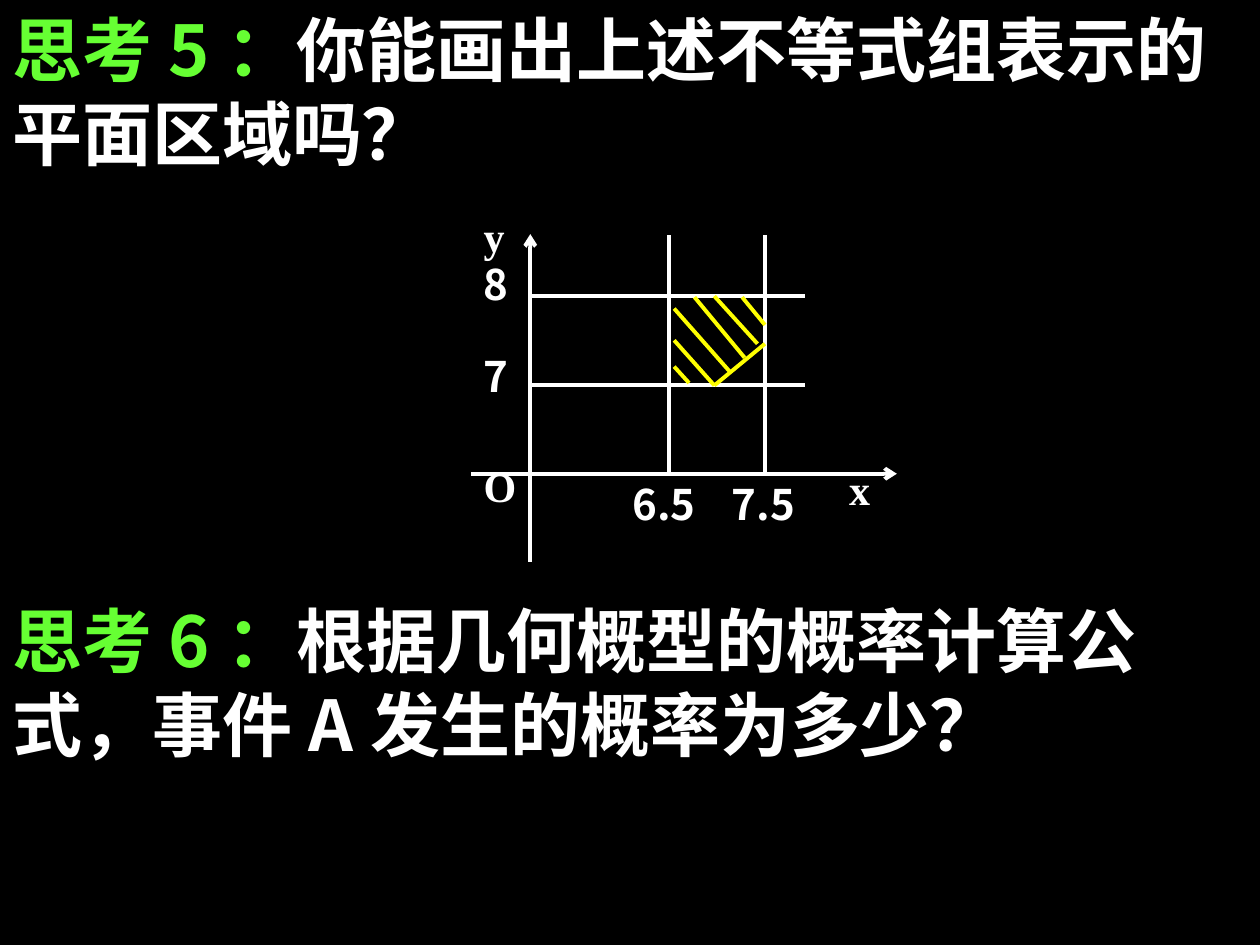
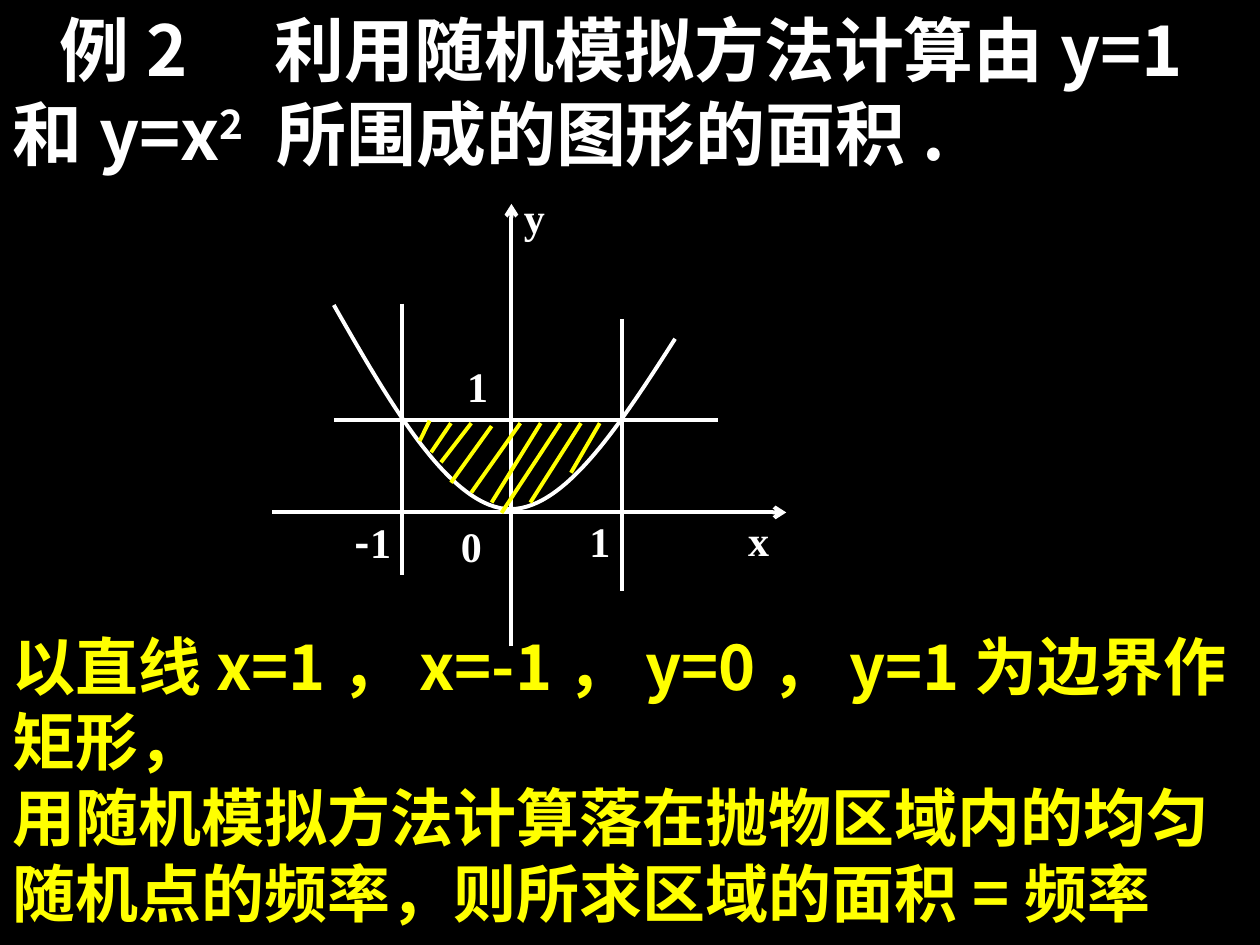
import pptx
import pptx.dml.color
import pptx.enum.shapes
import pptx.enum.text
import pptx.oxml.ns
import pptx.util
from lxml import etree

Cm = pptx.util.Cm
Pt = pptx.util.Pt
qn = pptx.oxml.ns.qn

SANS, SERIF = "Noto Sans CJK SC", "Times New Roman"
BLACK, WHITE, GREEN, YELLOW = "000000", "FFFFFF", "66FF33", "FFFF00"
SLIDE_W, SLIDE_H = 25.4, 19.05
HEADING_H = 3.66
LABEL_PT, BODY_PT, HEADING_PT = 24, 36, 40


def paint(color_format, hex_color):
    """Apply a hex colour to a colour format."""
    color_format.rgb = pptx.dml.color.RGBColor.from_string(hex_color)


def add_slide(prs):
    """Add a blank slide with a black background."""
    slide = prs.slides.add_slide(prs.slide_layouts[6])
    fill = slide.background.fill
    fill.solid()
    paint(fill.fore_color, BLACK)
    return slide


def add_run(p, text, size, color=WHITE, font=SANS, baseline=0):
    """Append one bold run to a paragraph."""
    r = p.add_run()
    r.text = text
    r.font.size, r.font.bold, r.font.name = Pt(size), True, font
    r.font.fill.solid()
    paint(r.font.fill.fore_color, color)
    rPr = r.font._element
    etree.SubElement(rPr, qn("a:ea")).set("typeface", font)
    if baseline:
        rPr.set("baseline", str(baseline * 1000))


def add_text_frame(slide, x, y, w, h):
    """Add a wrapping text box and return its text frame."""
    tf = slide.shapes.add_textbox(Cm(x), Cm(y), Cm(w), Cm(h)).text_frame
    tf.word_wrap = True
    return tf


def add_heading(slide, y, runs, indent=0):
    """Add a full-width heading of (text, options) runs, without hanging punctuation."""
    p = add_text_frame(slide, 0, y, SLIDE_W, HEADING_H).paragraphs[0]
    pPr = p._p.get_or_add_pPr()
    pPr.set("hangingPunct", "0")
    pPr.set("indent", str(Cm(indent)))
    for text, options in runs:
        add_run(p, text, HEADING_PT, **options)


def add_body(slide, y, lines):
    """Add yellow paragraphs that fill the slide from y to its bottom edge."""
    tf = add_text_frame(slide, 0, y, SLIDE_W, SLIDE_H - y)
    for i, line in enumerate(lines):
        p = tf.add_paragraph() if i else tf.paragraphs[0]
        add_run(p, line, BODY_PT, YELLOW)


def add_label(slide, x, y, w, h, *runs):
    """Add a diagram label made of (text, font) runs."""
    p = add_text_frame(slide, x, y, w, h).paragraphs[0]
    p.alignment = pptx.enum.text.PP_ALIGN.JUSTIFY
    for text, font in runs:
        add_run(p, text, LABEL_PT, font=font)


def add_line(slide, x1, y1, x2, y2, color=WHITE, arrow=False):
    """Add a straight line, with an open arrowhead at its end if asked."""
    line = slide.shapes.add_connector(
        pptx.enum.shapes.MSO_CONNECTOR.STRAIGHT, Cm(x1), Cm(y1), Cm(x2), Cm(y2))
    line.line.width = Pt(2.25)
    paint(line.line.color, color)
    if arrow:
        etree.SubElement(line.line._get_or_add_ln(), qn("a:tailEnd")).set("type", "arrow")
    etree.SubElement(line._element.spPr, qn("a:effectLst"))


def add_hatching(slide, strokes):
    """Add the yellow strokes that shade a region."""
    for stroke in strokes:
        add_line(slide, *stroke, color=YELLOW)


def add_curve(slide, start, *controls):
    """Add an open curve of cubic segments, three points each."""
    builder = slide.shapes.build_freeform(Cm(start[0]), Cm(start[1]))
    builder.add_line_segments([(Cm(x), Cm(y)) for x, y in controls], close=False)
    sp = builder.convert_to_shape()
    sp.shadow.inherit = False
    sp.fill.background()
    sp.line.width = Pt(2.25)
    paint(sp.line.color, WHITE)
    outline = next(sp._element.iter(qn("a:path")))
    segments = outline.findall(qn("a:lnTo"))
    for i in range(0, len(segments), 3):
        cubic = etree.SubElement(outline, qn("a:cubicBezTo"))
        for segment in segments[i:i + 3]:
            cubic.append(segment[0])
            outline.remove(segment)


def build_region_slide(prs):
    """Build the slide on the plane region of the inequalities."""
    slide = add_slide(prs)
    green = {"color": GREEN}
    add_heading(slide, 0, [("思考5：", green), ("你能画出上述不等式组表示的平面区域吗？", {})])
    add_heading(slide, 11.92, [("思考6：", green),
                               ("根据几何概型的概率计算公式，事件A发生的概率为多少？", {})])

    axis_x, axis_y = 10.69, 9.55
    add_line(slide, axis_x, 11.32, axis_x, 4.72, arrow=True)
    add_line(slide, 9.5, axis_y, 18.08, axis_y, arrow=True)
    for y in (5.97, 7.77):
        add_line(slide, axis_x, y, 16.23, y)
    for x in (13.49, 15.42):
        add_line(slide, x, axis_y, x, 4.74)
    add_hatching(slide, [
        (14.4, 7.77, 15.42, 6.93), (14.96, 5.99, 15.42, 6.55),
        (14.4, 5.97, 15.27, 6.93), (14, 5.99, 15.01, 7.21),
        (13.59, 6.22, 14.71, 7.49), (13.59, 6.86, 14.4, 7.77),
        (13.59, 7.39, 13.89, 7.72)])
    for text, font, x, y, w in [
            ("y", SERIF, 9.5, 4.11, 1.83), ("8", SANS, 9.5, 5.08, 1.83),
            ("7", SANS, 9.5, 6.94, 1.83), ("O", SERIF, 9.5, 9.16, 1.83),
            ("6.5", SANS, 12.5, 9.53, 2.45), ("7.5", SANS, 14.5, 9.53, 2.45),
            ("x", SERIF, 16.87, 9.22, 1.83)]:
        add_label(slide, x, y, w, 1.8, (text, font))


def build_parabola_slide(prs):
    """Build the slide on estimating the area inside the parabola."""
    slide = add_slide(prs)
    add_heading(slide, 0, [("例2　利用随机模拟方法计算由y=1和y=x", {}),
                           ("2", {"baseline": 30}),
                           (" 所围成的图形的面积.", {})], indent=0.96)

    axis_x, axis_y = 10.31, 10.33
    add_line(slide, 5.49, axis_y, 15.85, axis_y, arrow=True)
    add_line(slide, axis_x, 13.03, axis_x, 4.11, arrow=True)
    add_curve(slide, (6.73, 6.15), (7.87, 8.15), (9.02, 10.13), (10.19, 10.26),
              (11.33, 10.36), (12.47, 8.61), (13.61, 6.83))
    add_line(slide, 6.73, 8.46, 14.48, 8.46)
    for x, y in [(8.1, 6.12), (12.54, 6.43)]:
        add_line(slide, x, y, x, y + 5.48)
    for text, x, y, w in [
            ("x", 14.83, 10.24, 1.37), ("y", 10.31, 3.73, 1.78),
            ("0", 9.04, 10.36, 1.52), ("1", 11.63, 10.27, 1.35),
            ("1", 9.17, 7.15, 1.4)]:
        add_label(slide, x, y, w, 1.4, (text, SERIF))
    add_label(slide, 6.9, 10.29, 1.8, 1.4, ("-", SANS), ("1", SERIF))
    add_hatching(slide, [
        (8.66, 8.48, 8.46, 8.89), (9.09, 8.53, 8.69, 9.12),
        (9.5, 8.53, 8.89, 9.32), (9.91, 8.59, 9.09, 9.73),
        (10.49, 8.53, 9.5, 9.93), (10.9, 8.53, 9.91, 10.13),
        (11.3, 8.53, 10.11, 10.34), (11.71, 8.53, 10.69, 10.13),
        (12.09, 8.53, 11.51, 9.53)])
    add_body(slide, 12.52, [
        "以直线x=1，x=-1，y=0，y=1为边界作矩形，",
        "用随机模拟方法计算落在抛物区域内的均匀",
        "随机点的频率，则所求区域的面积=频率"])


def main():
    """Build the deck and save it."""
    prs = pptx.Presentation()
    prs.slide_width, prs.slide_height = Cm(SLIDE_W), Cm(SLIDE_H)
    build_region_slide(prs)
    build_parabola_slide(prs)
    prs.save("out.pptx")


if __name__ == "__main__":
    main()
